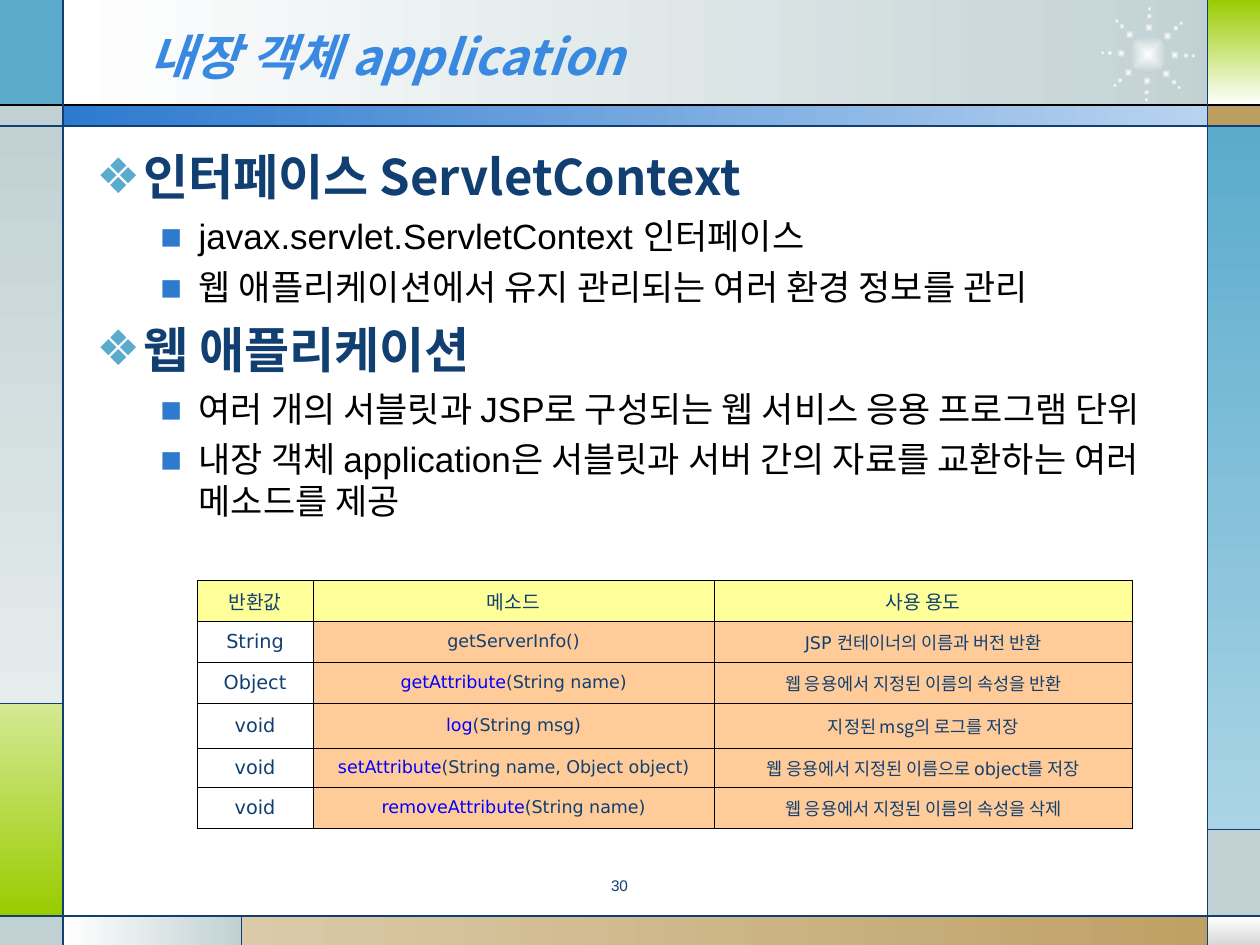
from dataclasses import dataclass
from math import cos, radians, sin

from lxml.etree import SubElement
from pptx import Presentation
from pptx.dml.color import RGBColor
from pptx.enum.shapes import MSO_CONNECTOR as Connector, MSO_SHAPE as Shape
from pptx.enum.text import MSO_ANCHOR as Anchor, MSO_AUTO_SIZE as AutoSize, PP_ALIGN as Align
from pptx.oxml.ns import qn
from pptx.util import Pt


@dataclass(frozen=True)
class Theme:
    navy: str = "113F71"
    title_blue: str = "3989E1"
    blue: str = "2D7ACF"
    pale_blue: str = "B9D3EF"
    sky: str = "5AABCC"
    pale_sky: str = "AAD4E5"
    gray: str = "C1D1D3"
    pale_gray: str = "E5ECEC"
    silver: str = "D8D8D8"
    green: str = "99CC00"
    pale_green: str = "D4E993"
    brown: str = "BD9E61"
    sand: str = "DBCAA9"
    white: str = "FFFFFF"
    black: str = "000000"
    header: str = "FFFF99"
    peach: str = "FFCC99"
    method: str = "0000FF"
    korean: str = "Noto Sans CJK KR"
    body: str = "Arial"
    table: str = "DejaVu Sans"
    heading_size: float = 28
    body_size: float = 20
    label_size: float = 11
    cell_size: float = 10
    number_size: float = 8.8


theme = Theme()


def paint(shape, colors, angle=0):
    """Fill with one colour, or with a gradient turning clockwise by angle."""
    shape.shadow.inherit = False
    shape.line.fill.background()
    if len(colors) == 1:
        shape.fill.solid()
        shape.fill.fore_color.rgb = RGBColor.from_string(colors[0])
        return
    shape.fill.gradient()
    shape.fill.gradient_angle = -angle % 360
    for stop, color in zip(shape.fill.gradient_stops, colors):
        stop.color.rgb = RGBColor.from_string(color)


def add_span(para, text, size, color, font, bold=False, italic=False):
    span = para.add_run()
    span.text = text
    span.font.size = Pt(size)
    span.font.bold = bold
    span.font.italic = italic
    span.font.color.rgb = RGBColor.from_string(color)
    span.font.name = font
    SubElement(span.font._element, qn("a:ea"), typeface=theme.korean)


deck = Presentation()
deck.slide_width, deck.slide_height = Pt(720), Pt(540)
page = deck.slides.add_slide(deck.slide_layouts[5])
shapes = page.shapes

# Frame of coloured panels: left, top, width, height, colours, angle
panels = [
    (36, 0, 667.5, 60, (theme.white, theme.gray), 0),
    (0, 0, 36, 60, (theme.sky,), 0),
    (0, 60, 36, 12, (theme.gray,), 0),
    (0, 72, 36, 330, (theme.gray, theme.pale_gray), 90),
    (0, 402, 36, 121.5, (theme.pale_green, theme.green), 90),
    (0, 523.5, 36, 16.5, (theme.gray,), 0),
    (36, 523.5, 102, 16.5, (theme.white, theme.gray), 0),
    (138, 523.5, 582, 16.5, (theme.sand, theme.brown), 0),
    (690.5, 523.5, 29.5, 16.5, (theme.white, theme.silver), 90),
    (690, 474, 30, 49.5, (theme.gray,), 0),
    (690, 72, 30, 402, (theme.sky, theme.pale_sky), 90),
    (690, 60, 30, 12, (theme.brown,), 0),
    (690.5, 0, 29.5, 60, (theme.green, theme.white), 90),
    (36, 60, 654.5, 12, (theme.blue, theme.pale_blue), 0),
]
for left, top, width, height, colors, angle in panels:
    panel = shapes.add_shape(Shape.RECTANGLE, Pt(left), Pt(top), Pt(width), Pt(height))
    paint(panel, colors, angle)

# Starburst: a core and eight rays of three shrinking dots
dots = [(656, 31, 21.5)]
for ray in range(8):
    turn = radians(45 * ray + 2)
    for radius, size in ((15.3, 5), (21.8, 3.4), (26, 2.5)):
        dots.append((656 + radius * cos(turn), 31 + radius * sin(turn), size))
for x, y, size in dots:
    dot = shapes.add_shape(Shape.OVAL, Pt(x - size / 2), Pt(y - size / 2), Pt(size), Pt(size))
    paint(dot, (theme.white, theme.gray))
    gradient = dot._element.spPr.find(qn("a:gradFill"))
    gradient.remove(gradient.find(qn("a:lin")))
    glow = SubElement(gradient, qn("a:path"), path="rect")
    SubElement(glow, qn("a:fillToRect"), l="50000", t="50000", r="50000", b="50000")

# Ruled lines between the panels
rules = [
    (0, 60, 720, 60, theme.black),
    (0, 72, 720, 72, theme.navy),
    (0, 523.5, 720, 523.5, theme.navy),
    (36, 0, 36, 540, theme.navy),
    (690, 0, 690, 540, theme.navy),
    (36, 402, 0, 402, theme.navy),
    (138, 523.5, 138, 540, theme.navy),
    (690, 474, 720, 474, theme.navy),
]
for x1, y1, x2, y2, color in rules:
    rule = shapes.add_connector(Connector.STRAIGHT, Pt(x1), Pt(y1), Pt(x2), Pt(y2))
    rule.line.width = Pt(0.75)
    rule.line.color.rgb = RGBColor.from_string(color)
    SubElement(rule._element.spPr, qn("a:effectLst"))

# Title, brought in front of the panels
title = shapes.title
title.left, title.top, title.width, title.height = Pt(78), Pt(9.5), Pt(528), Pt(44.5)
title.text_frame.auto_size = AutoSize.NONE
title.text_frame.vertical_anchor = Anchor.MIDDLE
para = title.text_frame.paragraphs[0]
para.alignment = Align.LEFT
add_span(para, "내장 객체 application", theme.heading_size, theme.title_blue,
         theme.korean, bold=True, italic=True)
title._element.getparent().append(title._element)

# Outline: level and text
outline = [
    (0, "인터페이스 ServletContext"),
    (1, "javax.servlet.ServletContext 인터페이스"),
    (1, "웹 애플리케이션에서 유지 관리되는 여러 환경 정보를 관리"),
    (0, "웹 애플리케이션"),
    (1, "여러 개의 서블릿과 JSP로 구성되는 웹 서비스 응용 프로그램 단위"),
    (1, "내장 객체 application은 서블릿과 서버 간의 자료를 교환하는 여러 메소드를 제공"),
]
# Level: size, colour, font, space before, margin, indent, bullet, bullet colour
levels = [
    (theme.heading_size, theme.navy, theme.korean, 7, 27, -27, "❖", theme.sky),
    (theme.body_size, theme.black, theme.body, 5, 58.5, -22.5, "▪", theme.blue),
]
box = shapes.add_textbox(Pt(48), Pt(80.5), Pt(634), Pt(405))
box.text_frame.word_wrap = True
for index, (level, text) in enumerate(outline):
    size, color, font, before, margin, indent, bullet, bullet_color = levels[level]
    para = box.text_frame.add_paragraph() if index else box.text_frame.paragraphs[0]
    para.level = level
    para.line_spacing = Pt(size * 1.2)
    para.space_before = Pt(before if index else 0)
    props = para._p.get_or_add_pPr()
    props.set("marL", str(Pt(margin)))
    props.set("indent", str(Pt(indent)))
    SubElement(SubElement(props, qn("a:buClr")), qn("a:srgbClr"), val=bullet_color)
    SubElement(props, qn("a:buFont"), typeface="DejaVu Sans")
    SubElement(props, qn("a:buChar"), char=bullet)
    add_span(para, text, size, color, font, bold=level == 0)

# Method table: a method cell holds its name and its arguments
rows = [
    (23.4, "반환값", ("", "메소드"), "사용 용도"),
    (23.4, "String", ("", "getServerInfo()"), "JSP 컨테이너의 이름과 버전 반환"),
    (23.4, "Object", ("getAttribute", "(String name)"), "웹 응용에서 지정된 이름의 속성을 반환"),
    (25.7, "void", ("log", "(String msg)"), "지정된 msg의 로그를 저장"),
    (22.4, "void", ("setAttribute", "(String name, Object object)"),
     "웹 응용에서 지정된 이름으로 object를 저장"),
    (23.4, "void", ("removeAttribute", "(String name)"), "웹 응용에서 지정된 이름의 속성을 삭제"),
]
table = shapes.add_table(len(rows), 3, Pt(112.5), Pt(331.7), Pt(534.5), Pt(141.7)).table
table.first_row = table.horz_banding = False
for column, width in zip(table.columns, (66.5, 229, 239)):
    column.width = Pt(width)
for r, (height, returned, method, purpose) in enumerate(rows):
    table.rows[r].height = Pt(height)
    for c, (name, text) in enumerate((("", returned), method, ("", purpose))):
        cell = table.cell(r, c)
        cell.vertical_anchor = Anchor.MIDDLE
        cell.margin_left = cell.margin_right = Pt(5)
        cell.margin_top = cell.margin_bottom = Pt(3)
        for side in ("a:lnL", "a:lnR", "a:lnT", "a:lnB"):
            border = SubElement(cell._tc.get_or_add_tcPr(), qn(side), w=str(Pt(0.45)))
            SubElement(SubElement(border, qn("a:solidFill")), qn("a:srgbClr"), val=theme.black)
        if r and c == 0:
            cell.fill.background()
        else:
            cell.fill.solid()
            cell.fill.fore_color.rgb = RGBColor.from_string(theme.peach if r else theme.header)
        para = cell.text_frame.paragraphs[0]
        para.alignment = Align.CENTER
        size = theme.cell_size if r and c else theme.label_size
        if name:
            add_span(para, name, size, theme.method, theme.table)
        before, word, after = text.partition("msg") if c == 2 else (text, "", "")
        for part, font in ((before, theme.table), (word, theme.korean), (after, theme.table)):
            if part:
                add_span(para, part, size, theme.navy, font)

# Page number
number = shapes.add_textbox(Pt(270), Pt(499), Pt(168), Pt(19.5))
number.text_frame.word_wrap = True
para = number.text_frame.paragraphs[0]
para.alignment = Align.CENTER
para.line_spacing = 0.8
add_span(para, "30", theme.number_size, theme.navy, theme.body)

deck.save("out.pptx")
